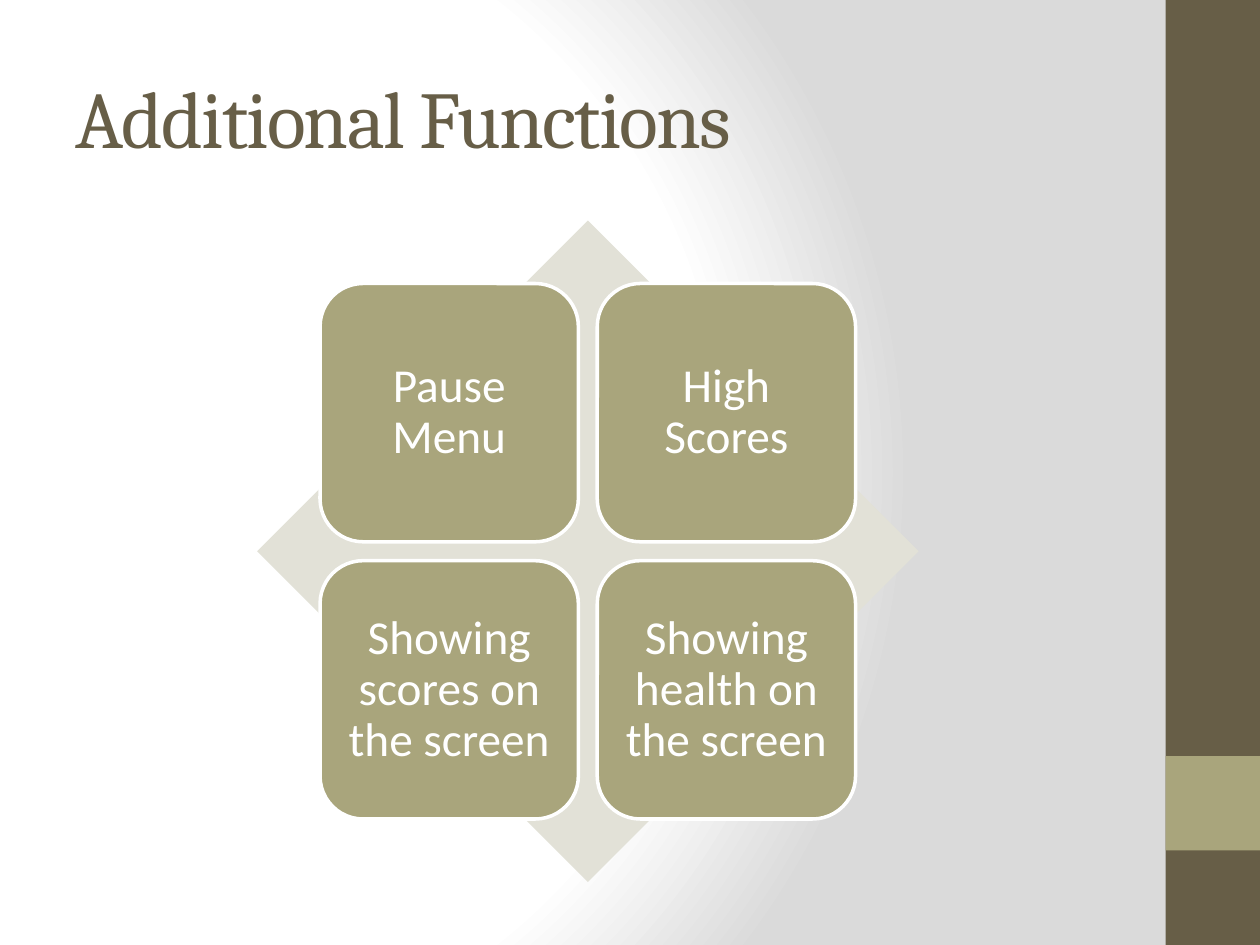
import pptx
import pptx.util
import pptx.oxml
import pptx.oxml.ns
from pptx.dml.color import RGBColor
from pptx.enum.shapes import MSO_SHAPE
from pptx.enum.text import MSO_ANCHOR, MSO_AUTO_SIZE, PP_ALIGN
from pptx.util import Inches

BROWN = RGBColor(0x67, 0x5E, 0x47)
OLIVE = RGBColor(0xA9, 0xA5, 0x7C)
PALE = RGBColor(0xE2, 0xE1, 0xD7)
WHITE = RGBColor(0xFF, 0xFF, 0xFF)
GREY = RGBColor(0xDA, 0xDA, 0xDA)


class Deck:
    heading_font = "Cambria"
    body_font = "Calibri"

    def __init__(self, prs):
        self.s = prs.slides.add_slide(prs.slide_layouts[5])

    def background(self, stops):
        self.s.background.fill.gradient()
        grad = self.s.element.find(".//" + pptx.oxml.ns.qn("a:gradFill"))
        gs = "".join(
            f'<a:gs pos="{pos * 1000}"><a:srgbClr val="{color}"/></a:gs>'
            for pos, color in stops
        )
        radial = pptx.oxml.parse_xml(
            f'<a:gradFill {pptx.oxml.ns.nsdecls("a")} rotWithShape="1">'
            f"<a:gsLst>{gs}</a:gsLst>"
            '<a:path path="circle">'
            '<a:fillToRect l="20000" t="50000" r="100000" b="50000"/>'
            "</a:path></a:gradFill>"
        )
        grad.getparent().replace(grad, radial)

    def run(self, p, text, font, size, color):
        r = p.add_run()
        r.text = text
        r.font.name = font
        r.font.size = pptx.util.Pt(size)
        r.font.color.rgb = color
        return r

    def title(self, text, x, y, w, h):
        sp = self.s.shapes.title
        sp.left, sp.top, sp.width, sp.height = map(Inches, (x, y, w, h))
        tf = sp.text_frame
        tf.auto_size = MSO_AUTO_SIZE.NONE
        tf.vertical_anchor = MSO_ANCHOR.MIDDLE
        p = tf.paragraphs[0]
        p.alignment = PP_ALIGN.LEFT
        r = self.run(p, text, self.heading_font, 46, BROWN)
        r.font._element.set("spc", "-100")

    def shape(self, shapes, kind, x, y, w, h, fill):
        sp = shapes.add_shape(kind, Inches(x), Inches(y), Inches(w), Inches(h))
        sp.shadow.inherit = False
        sp.fill.solid()
        sp.fill.fore_color.rgb = fill
        sp.line.fill.background()
        return sp

    def tile(self, shapes, text, x, y, size):
        sp = self.shape(shapes, MSO_SHAPE.ROUNDED_RECTANGLE, x, y, size, size, OLIVE)
        sp.line.color.rgb = WHITE
        sp.line.width = pptx.util.Pt(2)
        tf = sp.text_frame
        tf.word_wrap = True
        tf.vertical_anchor = MSO_ANCHOR.MIDDLE
        tf.margin_left = tf.margin_right = Inches(0.11)
        tf.margin_top = tf.margin_bottom = Inches(0.11)
        p = tf.paragraphs[0]
        p.alignment = PP_ALIGN.CENTER
        p.line_spacing = 0.9
        self.run(p, text, self.body_font, 27, WHITE)

    def matrix(self, labels, x, y, size):
        shapes = self.s.shapes.add_group_shape().shapes
        self.shape(shapes, MSO_SHAPE.DIAMOND, x, y, size, size, PALE)
        inset, tile, pitch = 0.5, 2.05, 2.2
        for i, label in enumerate(labels):
            row, col = divmod(i, 2)
            self.tile(shapes, label, x + inset + col * pitch, y + inset + row * pitch, tile)


def main():
    prs = pptx.Presentation()
    prs.slide_width, prs.slide_height = Inches(10), Inches(7.5)
    deck = Deck(prs)
    deck.background([(0, WHITE), (75, WHITE), (100, GREY)])
    for y, h, fill in [(0, 7.5, BROWN), (6, 0.75, OLIVE)]:
        deck.shape(deck.s.shapes, MSO_SHAPE.RECTANGLE, 9.25, y, 0.75, h, fill)
    deck.title("Additional Functions", 0.5, 0.3, 8.33, 1.25)
    deck.matrix(
        [
            "Pause Menu",
            "High Scores",
            "Showing scores on the screen",
            "Showing health on the screen",
        ],
        2.04, 1.75, 5.25,
    )
    prs.save("out.pptx")


if __name__ == "__main__":
    main()
